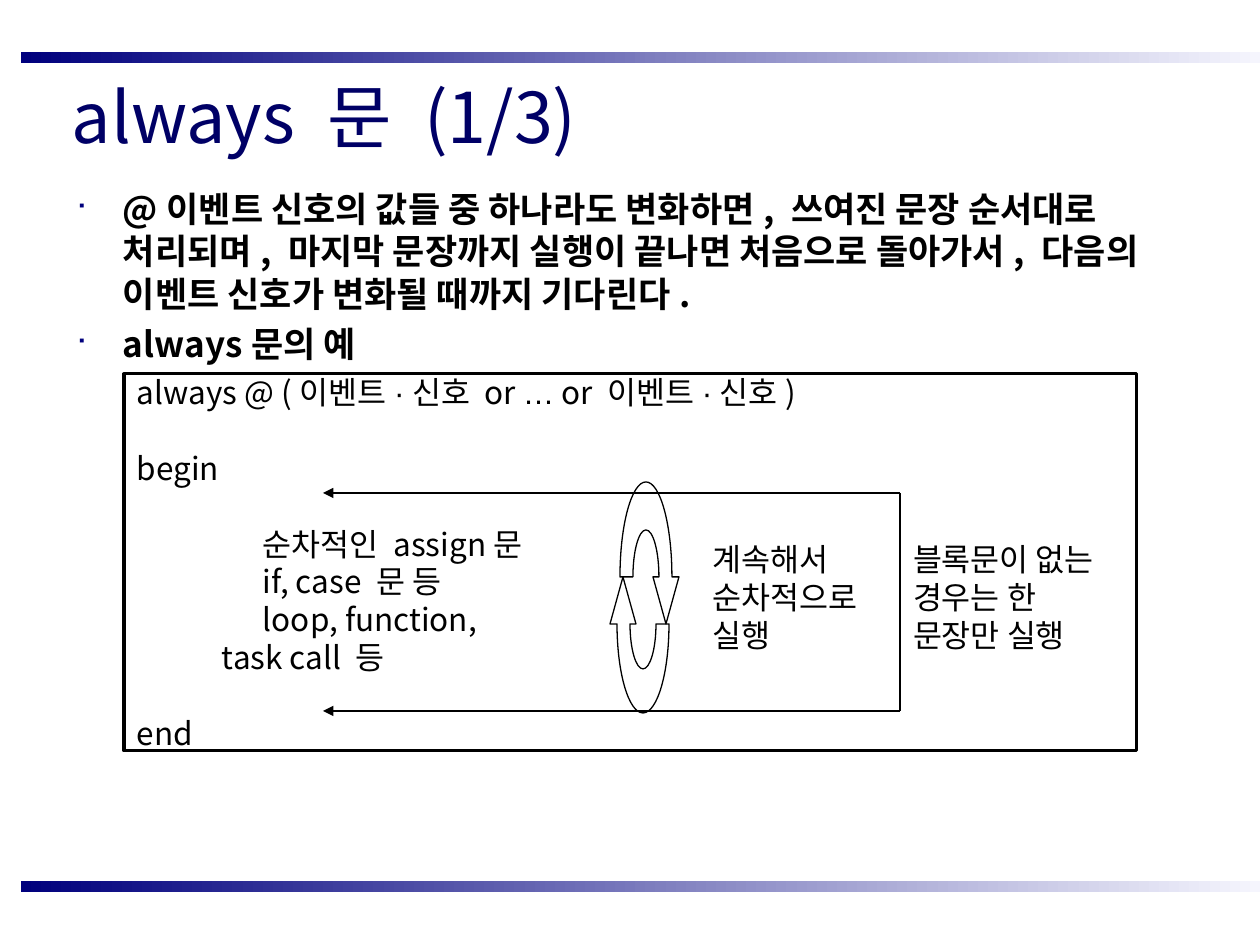
import itertools

from lxml import etree
from pptx import Presentation
from pptx import util as u
from pptx.dml.color import RGBColor
from pptx.enum import shapes, text
from pptx.oxml import ns

PX = 914400 // 126
FONT, SYMBOL_FONT, BULLET_FONT = "Noto Sans CJK KR", "Arial", "Wingdings"
SYMBOLS = "·…"
COLORS = {"title": "000066", "ink": "000000", "bar": "00007D", "bar_end": "F5F5FD"}

TITLE = "always 문 (1/3)"
BULLETS = [
    "@이벤트 신호의 값들 중 하나라도 변화하면, 쓰여진 문장 순서대로 처리되며, "
    "마지막 문장까지 실행이 끝나면 처음으로 돌아가서, 다음의 이벤트 신호가 변화될 때까지 기다린다.",
    "always문의 예",
]
# text, indent in px, empty lines above
CODE = [
    ("always @ (이벤트·신호 or … or 이벤트·신호)", 0, 0),
    ("begin", 0, 1),
    ("순차적인 assign문", 126, 1),
    ("if, case 문 등", 126, 0),
    ("loop, function,", 126, 0),
    ("task call 등", 85, 0),
    ("end", 0, 1),
]
# text, left, width
NOTES = [
    ("계속해서 순차적으로 실행", 700, 199),
    ("블록문이 없는 경우는 한 문장만 실행", 900, 231),
]
BAR_TOPS = (52, 881)
BLOCK_LEFT, BLOCK_RIGHT, BLOCK_TOP, BLOCK_BOTTOM = 323, 900, 493, 711
# centre x, centre y, outer height, inner height, direction (-1 is turned by 180 degrees)
LOOP_ARROWS = [(646, 577, 95, 47, 1), (643, 624, 89, 45, -1)]
ARC_PULL = 0.55  # control point distance that turns a cubic curve into a quarter ellipse


def px(*lengths):
    return [u.Emu(round(length * PX)) for length in lengths]


def rgb(name):
    return RGBColor.from_string(COLORS[name])


def add_xml(parent, tag, **attributes):
    return etree.SubElement(parent, ns.qn(tag), attributes)


def write(paragraph, content, size=18, color="ink", bold=False, indent=0, hanging=0, before=0):
    """Fill a paragraph, setting symbols in their own font."""
    paragraph.alignment = text.PP_ALIGN.LEFT
    paragraph.line_spacing = u.Pt(size * 1.2)
    paragraph.space_before = u.Pt(before)
    properties = paragraph._p.get_or_add_pPr()
    properties.set("marL", str(indent * PX))
    properties.set("indent", str(-hanging * PX))
    for is_symbol, letters in itertools.groupby(content, lambda letter: letter in SYMBOLS):
        run = paragraph.add_run()
        run.text = "".join(letters)
        font = run.font
        font.size, font.bold = u.Pt(size), bold
        font.color.rgb = rgb(color)
        font.name = SYMBOL_FONT if is_symbol else FONT
        run_properties = run._r.get_or_add_rPr()
        run_properties.set("kern", "0")
        add_xml(run_properties, "a:ea", typeface=font.name)


def set_frame(shape, anchor=text.MSO_ANCHOR.TOP, margin=6):
    frame = shape.text_frame
    frame.word_wrap = True
    frame.auto_size = text.MSO_AUTO_SIZE.NONE
    frame.vertical_anchor = anchor
    frame.margin_left, frame.margin_right = px(13, 13)
    frame.margin_top, frame.margin_bottom = px(margin, margin)
    return frame


def paragraphs(frame, count):
    return [frame.paragraphs[0]] + [frame.add_paragraph() for _ in range(count - 1)]


def outline(shape, width):
    shape.shadow.inherit = False
    shape.fill.background()
    shape.line.color.rgb = rgb("ink")
    shape.line.width = u.Pt(width)


def add_bar(slide, top):
    bar = slide.shapes.add_shape(shapes.MSO_SHAPE.RECTANGLE, *px(21, top, 1239, 11))
    bar.shadow.inherit = False
    bar.line.fill.background()
    bar.fill.gradient()
    bar.fill.gradient_angle = 0
    for stop, position, name in zip(bar.fill.gradient_stops, (0, 1), ("bar", "bar_end")):
        stop.position = position
        stop.color.rgb = rgb(name)


def add_title(slide):
    title = slide.shapes.title
    title.left, title.top, title.width, title.height = px(59, 61, 1158, 108)
    frame = set_frame(title, text.MSO_ANCHOR.MIDDLE)
    write(frame.paragraphs[0], TITLE, size=40, color="title")


def add_bullets(slide):
    frame = set_frame(slide.shapes.add_textbox(*px(63, 182, 1134, 190)))
    for paragraph, content in zip(paragraphs(frame, len(BULLETS)), BULLETS):
        write(paragraph, content, size=20, bold=True, indent=47, hanging=47, before=5)
        properties = paragraph._p.get_or_add_pPr()
        add_xml(add_xml(properties, "a:buClr"), "a:srgbClr", val=COLORS["bar"])
        add_xml(properties, "a:buSzPct", val="75000")
        add_xml(properties, "a:buFont", typeface=BULLET_FONT)
        add_xml(properties, "a:buChar", char="■")


def add_code(slide):
    box = slide.shapes.add_shape(shapes.MSO_SHAPE.RECTANGLE, *px(124, 374, 1013, 377))
    outline(box, 1.75)
    frame = set_frame(box, text.MSO_ANCHOR.MIDDLE, margin=0)
    for paragraph, (content, indent, skipped) in zip(paragraphs(frame, len(CODE)), CODE):
        write(paragraph, content, indent=indent, before=skipped * 21.6)


def add_line(slide, start, end, arrow=False):
    line = slide.shapes.add_connector(shapes.MSO_CONNECTOR.STRAIGHT, *px(*start, *end))
    line.line.color.rgb = rgb("ink")
    line.line.width = u.Pt(0.75)
    if arrow:
        add_xml(line.line._get_or_add_ln(), "a:headEnd", type="triangle")
    add_xml(line._element.spPr, "a:effectLst")


def bend(segment, points):
    """Turn a straight path segment into a cubic curve through the given points."""
    segment.clear()
    curve = etree.Element(ns.qn("a:cubicBezTo"))
    for x, y in points:
        add_xml(curve, "a:pt", x=str(x), y=str(y))
    segment.getparent().replace(segment, curve)


def add_loop_arrow(slide, center_x, center_y, outer, inner, direction):
    """Draw half an elliptic ring that ends in an arrowhead."""
    def place(x, y):
        return px(center_x + direction * x, center_y + direction * y)

    corners = [(-26, 0), (0, -outer), (26, 0), (33, 0), (20, 47), (7, 0),
               (13, 0), (0, -inner), (-13, 0)]
    builder = slide.shapes.build_freeform(*place(*corners[0]))
    builder.add_line_segments([place(*corner) for corner in corners[1:]], close=True)
    arrow = builder.convert_to_shape()
    outline(arrow, 0.75)
    segments = list(arrow._element.iter(ns.qn("a:lnTo")))
    for end in (1, 2, 7, 8):
        (x0, y0), (x1, y1) = corners[end - 1], corners[end]
        corner_x, corner_y = (x0, y1) if y0 == 0 else (x1, y0)
        controls = [(x + ARC_PULL * (corner_x - x), y + ARC_PULL * (corner_y - y))
                    for x, y in ((x0, y0), (x1, y1))]
        placed = [place(*point) for point in controls + [(x1, y1)]]
        bend(segments[end - 1], [(x - arrow.left, y - arrow.top) for x, y in placed])


def main():
    presentation = Presentation()
    presentation.slide_width, presentation.slide_height = px(1260, 945)
    slide = presentation.slides.add_slide(presentation.slide_layouts[5])
    for top in BAR_TOPS:
        add_bar(slide, top)
    add_title(slide)
    add_bullets(slide)
    add_code(slide)
    for y in (BLOCK_TOP, BLOCK_BOTTOM):
        add_line(slide, (BLOCK_LEFT, y), (BLOCK_RIGHT, y), arrow=True)
    for content, left, width in NOTES:
        frame = set_frame(slide.shapes.add_textbox(*px(left, 534, width, 126)))
        write(frame.paragraphs[0], content)
    add_line(slide, (BLOCK_RIGHT, BLOCK_TOP), (BLOCK_RIGHT, BLOCK_BOTTOM))
    for arrow in LOOP_ARROWS:
        add_loop_arrow(slide, *arrow)
    presentation.save("out.pptx")


if __name__ == "__main__":
    main()
